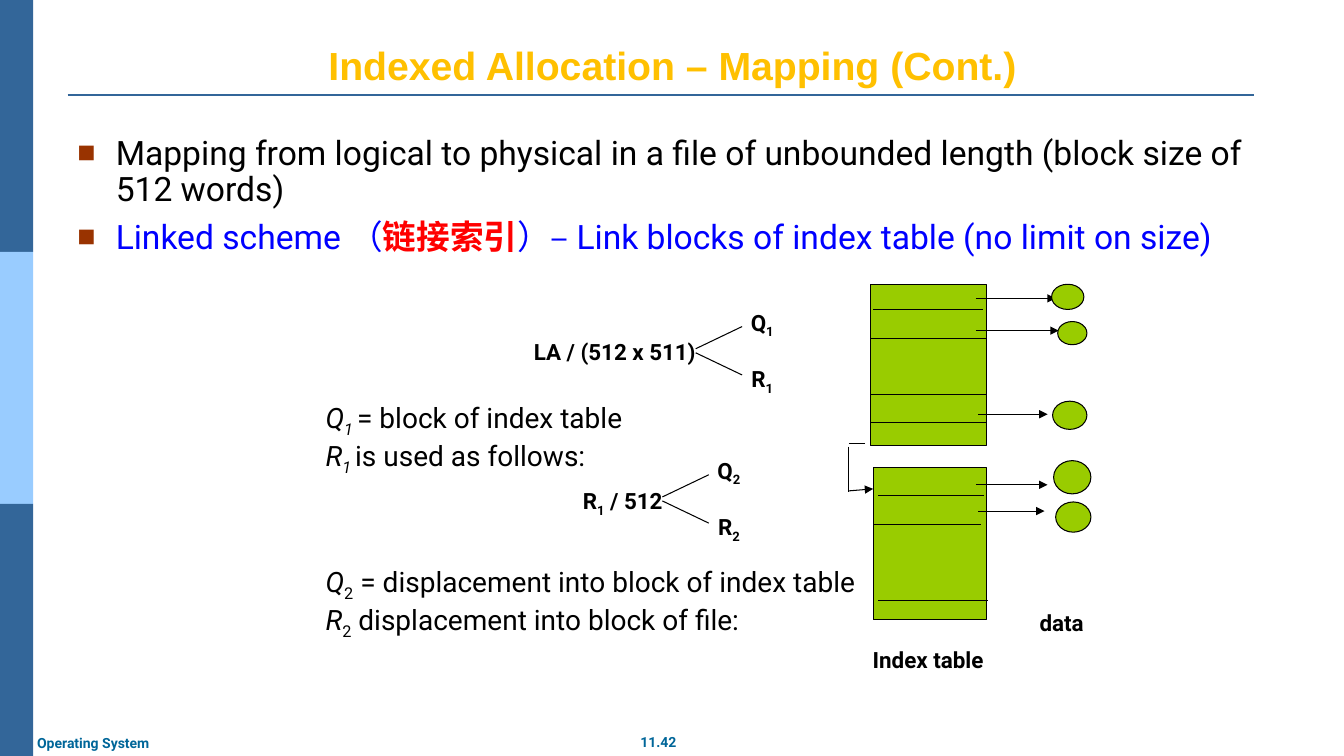
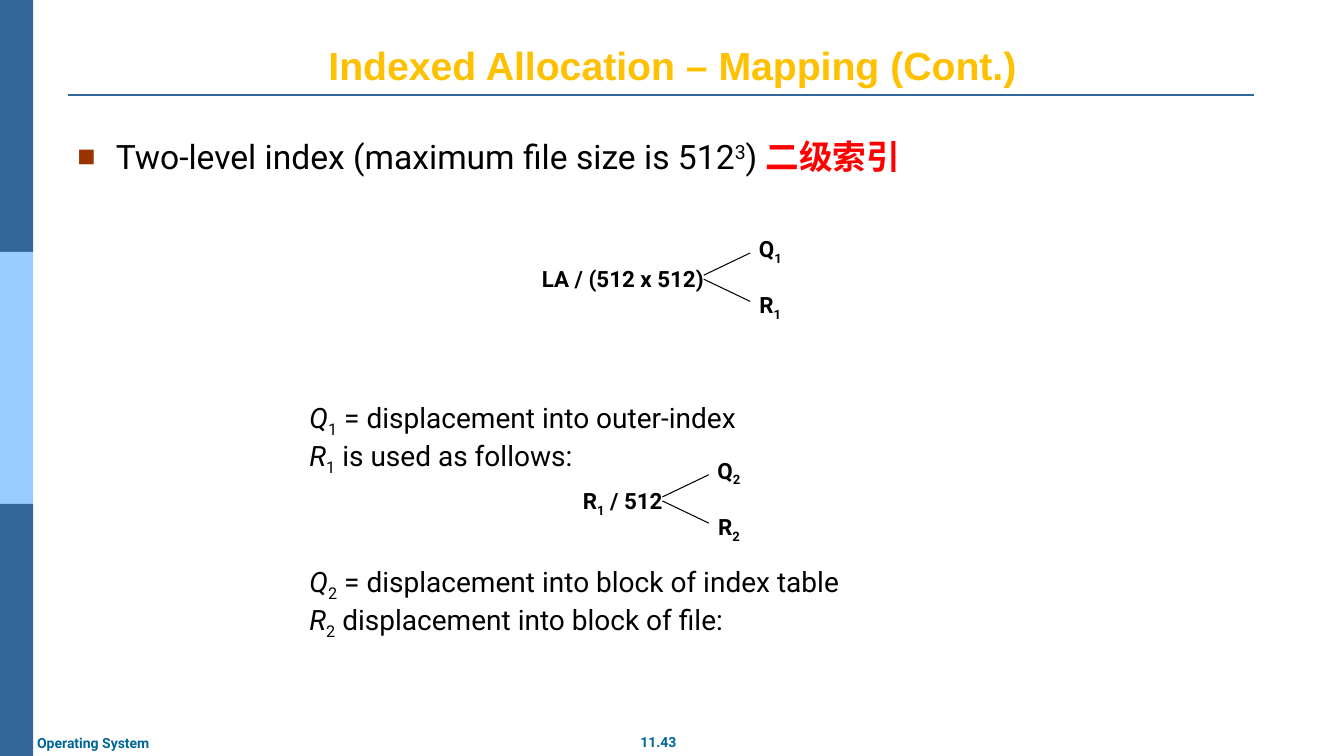
from dataclasses import dataclass, replace
from typing import NamedTuple

from lxml import etree
from pptx import Presentation
from pptx.dml.color import RGBColor
from pptx.enum import shapes, text
from pptx.oxml import ns
from pptx import util as u


@dataclass(frozen=True)
class Theme:
    band_dark: str = "336699"
    band_light: str = "99CCFF"
    footer: str = "006699"
    title: str = "FFC000"
    bullet: str = "993300"
    ink: str = "000000"
    blue: str = "0000FF"
    red: str = "FF0000"
    block: str = "99CC00"
    body_font: str = "Roboto"
    title_font: str = "Arial"
    asian_font: str = "Noto Sans CJK SC"
    title_size: float = 28
    body_size: float = 24
    definition_size: float = 20
    label_size: float = 16
    footer_size: float = 10
    thin: float = 0.75
    rule: float = 1.5


THEME = Theme()


class Box(NamedTuple):
    left: float
    top: float
    width: float
    height: float


class Segment(NamedTuple):
    x1: float
    y1: float
    x2: float
    y2: float


@dataclass(frozen=True)
class Span:
    text: str
    color: str = THEME.ink
    font: str = THEME.body_font
    bold: bool = False
    italic: bool = False
    baseline: int = 0


Line = list[Span]


@dataclass(frozen=True)
class Style:
    size: float
    align: text.PP_ALIGN = text.PP_ALIGN.LEFT
    anchor: text.MSO_ANCHOR = text.MSO_ANCHOR.TOP
    indent: float = 0
    spacing: float = 1
    bulleted: bool = False


LABEL = Style(THEME.label_size, text.PP_ALIGN.CENTER, text.MSO_ANCHOR.MIDDLE)
DEFINITION = Style(THEME.definition_size, indent=0.38)
BODY = Style(THEME.body_size, indent=0.38, bulleted=True)
FOOTER = Style(THEME.footer_size)


@dataclass(frozen=True)
class Fork:
    """A division whose quotient and remainder branch off at a joint."""
    x: float
    y: float
    expression: Line
    expression_top: float
    index: str


@dataclass(frozen=True)
class IndexBlock:
    box: Box
    rules: list[Segment]


@dataclass(frozen=True)
class DataLink:
    start: float
    end: float
    y: float
    data: Box


@dataclass(frozen=True)
class MappingPage:
    number: str
    bullets: list[Line]
    spacing: float
    fork: Fork
    definition_left: float
    definitions: list[Line]


def bold(words: str, color: str = THEME.ink) -> Span:
    return Span(words, color, bold=True)


def subscript(words: str, **look: bool) -> Span:
    return Span(words, baseline=-25, **look)


def asian(words: str) -> Span:
    return Span(words, THEME.red, THEME.asian_font, bold=True)


def definition(letter: str, index: str, words: str, slanted: bool = False) -> Line:
    return [Span(letter, italic=True), subscript(index, italic=slanted), Span(words)]


def rgb(color: str) -> RGBColor:
    return RGBColor.from_string(color)


def add_bullet(para) -> None:
    props = para._p.get_or_add_pPr()
    color = etree.SubElement(props, ns.qn("a:buClr"))
    etree.SubElement(color, ns.qn("a:srgbClr"), val=THEME.bullet)
    etree.SubElement(props, ns.qn("a:buSzPct"), val="90000")
    etree.SubElement(props, ns.qn("a:buFont"), typeface=THEME.title_font)
    etree.SubElement(props, ns.qn("a:buChar"), char="■")


def add_span(para, span: Span, size: float) -> None:
    run = para.add_run()
    run.text = span.text
    font = run.font
    font.size, font.name = u.Pt(size), span.font
    font.bold, font.italic = span.bold, span.italic
    font.color.rgb = rgb(span.color)
    props = run._r.get_or_add_rPr()
    etree.SubElement(props, ns.qn("a:ea"), typeface=THEME.asian_font)
    if span.baseline:
        props.set("baseline", str(span.baseline * 1000))


def add_text(canvas, box: Box, lines: list[Line], style: Style) -> None:
    frame = canvas.add_textbox(*map(u.Inches, box)).text_frame
    frame.word_wrap = True
    frame.vertical_anchor = style.anchor
    for position, line in enumerate(lines):
        para = frame.add_paragraph() if position else frame.paragraphs[0]
        para.alignment = style.align
        para.line_spacing = style.spacing
        props = para._p.get_or_add_pPr()
        props.set("marL", str(u.Inches(style.indent)))
        if style.bulleted:
            props.set("indent", str(-u.Inches(style.indent)))
            if position:
                para.space_before = u.Pt(0.35 * style.size)
            add_bullet(para)
        for span in line:
            add_span(para, span, style.size)


def add_block(canvas, kind: shapes.MSO_SHAPE, box: Box, fill: str, outlined: bool = True) -> None:
    shape = canvas.add_shape(kind, *map(u.Inches, box))
    shape.shadow.inherit = False
    shape.fill.solid()
    shape.fill.fore_color.rgb = rgb(fill)
    if outlined:
        shape.line.color.rgb = rgb(THEME.ink)
        shape.line.width = u.Pt(THEME.thin)
    else:
        shape.line.fill.background()


def add_line(canvas, segment: Segment, color: str = THEME.ink,
             width: float = THEME.thin, arrow: bool = False) -> None:
    line = canvas.add_connector(shapes.MSO_CONNECTOR.STRAIGHT, *map(u.Inches, segment))
    line.line.color.rgb = rgb(color)
    line.line.width = u.Pt(width)
    props = line._element.spPr
    if arrow:
        etree.SubElement(props.find(ns.qn("a:ln")), ns.qn("a:tailEnd"), type="triangle")
    etree.SubElement(props, ns.qn("a:effectLst"))


def add_frame(canvas, number: str) -> None:
    """Draw the side bands, title and footer that every page carries."""
    for position, color in enumerate((THEME.band_dark, THEME.band_light, THEME.band_dark)):
        add_block(canvas, shapes.MSO_SHAPE.RECTANGLE, Box(0, 2.5 * position, 0.33, 2.5), color, False)
    add_line(canvas, Segment(0.67, 0.94, 12.44, 0.94), THEME.band_dark, THEME.rule)
    add_text(canvas, Box(6.03, 7.23, 1, 0.27), [[bold(number, THEME.footer)]],
             replace(FOOTER, align=text.PP_ALIGN.CENTER))
    add_text(canvas, Box(0.27, 7.24, 1.6, 0.27), [[bold("Operating System", THEME.footer)]], FOOTER)
    title = Span("Indexed Allocation – Mapping (Cont.)", THEME.title, THEME.title_font, bold=True)
    add_text(canvas, Box(0.67, 0.3, 12, 0.63), [[title]],
             Style(THEME.title_size, text.PP_ALIGN.CENTER, text.MSO_ANCHOR.BOTTOM))


def add_fork(canvas, fork: Fork) -> None:
    add_text(canvas, Box(fork.x - 2, fork.expression_top, 2.1, 0.37), [fork.expression],
             replace(LABEL, align=text.PP_ALIGN.RIGHT))
    for letter, side, label_top in (("Q", -1, -0.45), ("R", 1, 0.11)):
        add_text(canvas, Box(fork.x + 0.43, fork.y + label_top, 0.46, 0.37),
                 [[bold(letter), subscript(fork.index, bold=True)]], LABEL)
        add_line(canvas, Segment(fork.x, fork.y + 0.02 * side, fork.x + 0.46, fork.y + 0.24 * side))


def add_index_table(canvas) -> None:
    for block in INDEX_BLOCKS:
        add_block(canvas, shapes.MSO_SHAPE.RECTANGLE, block.box, THEME.block)
        for rule in block.rules:
            add_line(canvas, rule)
    for link in DATA_LINKS:
        add_line(canvas, Segment(link.start, link.y, link.end, link.y), arrow=True)
        add_block(canvas, shapes.MSO_SHAPE.OVAL, link.data, THEME.block)
    for segment in NEXT_BLOCK_ROUTE:
        add_line(canvas, segment, arrow=segment is NEXT_BLOCK_ROUTE[-1])
    add_text(canvas, Box(8.5, 6.36, 1.41, 0.37), [[bold("Index table")]], LABEL)
    add_text(canvas, Box(10.03, 5.99, 1, 0.37), [[bold("data")]], LABEL)


INDEX_BLOCKS = [
    IndexBlock(Box(8.63, 2.82, 1.15, 1.6), [
        Segment(8.66, 3.07, 9.75, 3.07), Segment(8.64, 3.36, 9.78, 3.36),
        Segment(8.64, 3.91, 9.78, 3.91), Segment(8.63, 4.19, 9.78, 4.19)]),
    IndexBlock(Box(8.66, 4.64, 1.12, 1.51), [
        Segment(8.71, 4.92, 9.76, 4.92), Segment(8.67, 5.2, 9.73, 5.2),
        Segment(8.71, 5.96, 9.8, 5.96)]),
]
DATA_LINKS = [
    DataLink(9.68, 10.47, 2.96, Box(10.43, 2.82, 0.32, 0.25)),
    DataLink(9.68, 10.5, 3.28, Box(10.49, 3.19, 0.29, 0.23)),
    DataLink(9.7, 10.39, 4.11, Box(10.44, 3.98, 0.34, 0.28)),
    DataLink(9.68, 10.39, 4.81, Box(10.45, 4.57, 0.37, 0.33)),
    DataLink(9.7, 10.36, 5.07, Box(10.47, 4.98, 0.35, 0.3)),
]
NEXT_BLOCK_ROUTE = [
    Segment(8.58, 4.4, 8.42, 4.4), Segment(8.42, 4.43, 8.42, 4.88), Segment(8.42, 4.87, 8.66, 4.85),
]
SECOND_FORK = Fork(6.57, 4.95, [bold("R"), subscript("1", bold=True), bold(" / 512")], 4.8, "2")
SECOND_DEFINITIONS = [
    definition("Q", "2", " = displacement into block of index table"),
    definition("R", "2", " displacement into block of file:"),
]
LINKED_PAGE = MappingPage(
    "11.42",
    [[Span("Mapping from logical to physical in a file of unbounded length (block size of 512 words)")],
     [Span("Linked scheme （", THEME.blue), asian("链接索引"),
      Span("）– Link blocks of index table (no limit on size)", THEME.blue)]],
    0.9,
    Fork(6.9, 3.48, [bold("LA / (512 x 511)")], 3.3, "1"),
    2.75,
    [definition("Q", "1 ", "= block of index table", True),
     definition("R", "1 ", "is used as follows:", True)])
TWO_LEVEL_PAGE = MappingPage(
    "11.43",
    [[Span("Two-level index (maximum file size is 512"), Span("3", baseline=30), Span(") "),
      asian("二级索引")]],
    1,
    Fork(6.98, 2.75, [bold("LA / (512 x 512)")], 2.58, "1"),
    2.59,
    [definition("Q", "1", " = displacement into outer-index"),
     definition("R", "1", " is used as follows:")])


def add_page(deck, page: MappingPage):
    slide = deck.slides.add_slide(deck.slide_layouts[6])
    canvas = slide.shapes
    add_frame(canvas, page.number)
    add_text(canvas, Box(0.67, 1.3, 12, 4.95), page.bullets, replace(BODY, spacing=page.spacing))
    for fork in (page.fork, SECOND_FORK):
        add_fork(canvas, fork)
    for top, lines in ((3.92, page.definitions), (5.55, SECOND_DEFINITIONS)):
        add_text(canvas, Box(page.definition_left, top, 7.69, 0.81), lines, DEFINITION)
    return slide


def main() -> None:
    deck = Presentation()
    deck.slide_width, deck.slide_height = u.Inches(13.33), u.Inches(7.5)
    linked = add_page(deck, LINKED_PAGE)
    add_index_table(linked.shapes.add_group_shape().shapes)
    add_page(deck, TWO_LEVEL_PAGE)
    deck.save("out.pptx")


if __name__ == "__main__":
    main()
